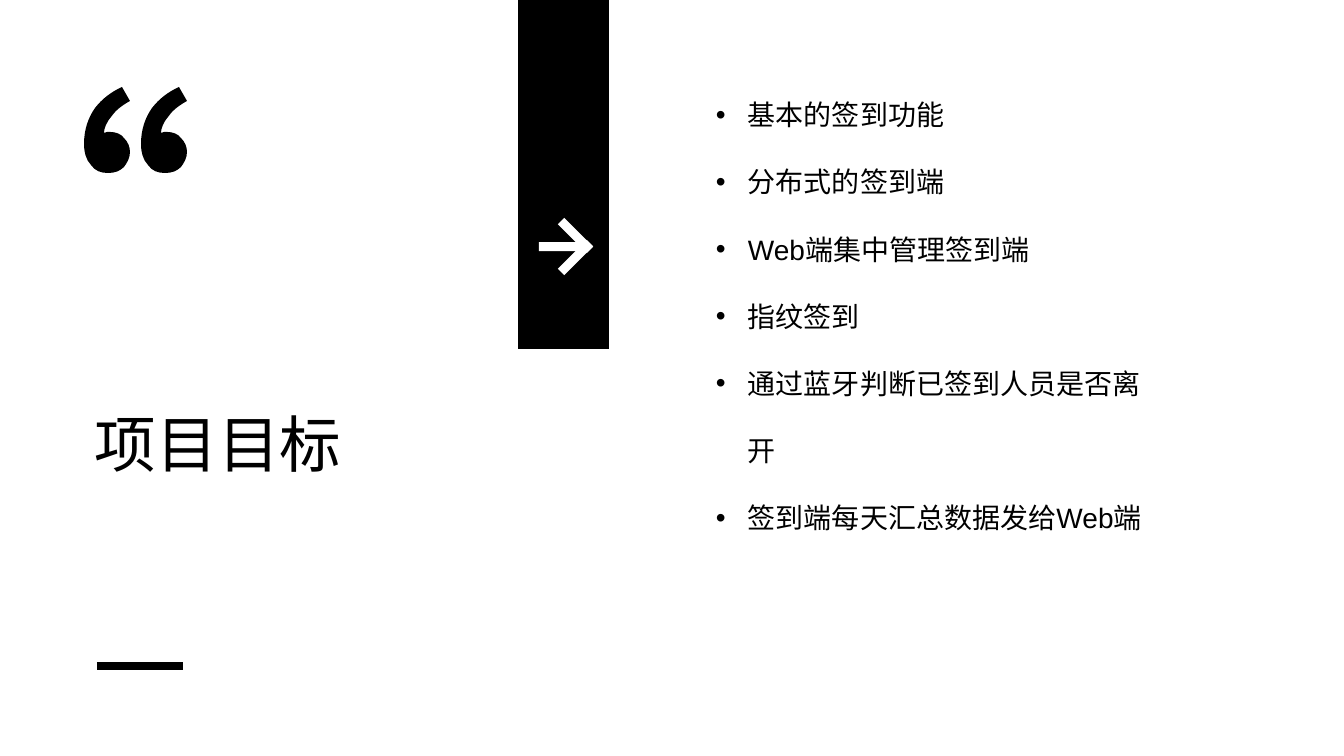
from lxml import etree
from pptx import Presentation
from pptx.dml.color import RGBColor
from pptx.enum.shapes import MSO_CONNECTOR, MSO_SHAPE
from pptx.oxml.ns import qn
from pptx.util import Emu, Pt

RECT = MSO_SHAPE.RECTANGLE
STRAIGHT = MSO_CONNECTOR.STRAIGHT
PX = 914400 / 100.8
FONT = "Arial"
COLORS = {"ink": "000000", "paper": "FFFFFF"}

GOALS = [
    "基本的签到功能",
    "分布式的签到端",
    "Web端集中管理签到端",
    "指纹签到",
    "通过蓝牙判断已签到人员是否离开",
    "签到端每天汇总数据发给Web端",
]

# One quote mark: a straight edge, then cubic curves (two controls, end)
MARK_EDGE = [(38, 0), (46, 14)]
MARK_CURVES = [
    [(37, 19), (31, 24), (27, 30)], [(22, 36), (20, 42), (20, 46)],
    [(21, 46), (22, 46), (23, 45)], [(24, 45), (25, 45), (26, 45)],
    [(32, 45), (37, 47), (40, 51)], [(44, 55), (46, 60), (46, 65)],
    [(46, 71), (43, 76), (40, 80)], [(36, 84), (31, 86), (24, 86)],
    [(17, 86), (11, 84), (7, 78)], [(2, 73), (0, 65), (0, 57)],
    [(0, 43), (4, 31), (11, 21)], [(18, 12), (27, 5), (38, 0)],
]


def px(n):
    """Turn pixels into EMU."""
    return Emu(round(n * PX))


def color(name):
    """Look up a colour by name."""
    return RGBColor.from_string(COLORS[name])


def paint(sp, name):
    """Fill a shape plainly, with no outline or shadow."""
    sp.fill.solid()
    sp.fill.fore_color.rgb = color(name)
    sp.line.fill.background()
    sp.shadow.inherit = False


def add_rect(shapes, x, y, w, h, name, rotation=0):
    """Add a plain rectangle, turned about its centre."""
    sp = shapes.add_shape(RECT, px(x), px(y), px(w), px(h))
    sp.rotation = rotation
    paint(sp, name)


def add_text(s, x, y, w, h, lines, size):
    """Add a wrapped text box with one paragraph per line and return its frame."""
    tf = s.shapes.add_textbox(px(x), px(y), px(w), px(h)).text_frame
    tf.word_wrap = True
    tf.text = "\n".join(lines)
    for p in tf.paragraphs:
        p.font.name = FONT
        p.font.size = Pt(size)
        p.font.color.rgb = color("ink")
    return tf


def bend(segment, controls):
    """Turn a straight path segment into a cubic curve with two controls."""
    segment.tag = qn("a:cubicBezTo")
    for i, (u, v) in enumerate(controls):
        segment.insert(i, etree.Element(qn("a:pt"), x=str(px(u)), y=str(px(v))))


def quote_marks(s, x, y, pitch):
    """Draw the opening double quote as one outline of two curved marks."""
    anchors = MARK_EDGE + [curve[-1] for curve in MARK_CURVES]
    offsets = (0, pitch)
    fb = s.shapes.build_freeform(px(x + anchors[0][0]), px(y + anchors[0][1]), scale=1.0)
    for dx in offsets:
        first, *rest = [(px(x + dx + u), px(y + v)) for u, v in anchors]
        if dx:
            fb.move_to(*first)
        fb.add_line_segments(rest, close=True)
    sp = fb.convert_to_shape()
    paint(sp, "ink")
    segments = list(sp._element.iter(qn("a:lnTo")))
    count = len(anchors) - 1
    for i, dx in enumerate(offsets):
        curved = segments[i * count + 1:(i + 1) * count]
        for segment, curve in zip(curved, MARK_CURVES):
            bend(segment, [(dx + u, v) for u, v in curve[:2]])


def title_panel(s, x, y):
    """Place the quote, the title and the short rule below it."""
    quote_marks(s, x, y, 57)
    add_text(s, x + 1, y + 314, 588, 85, ["项目目标"], 44)
    rule = s.shapes.add_connector(STRAIGHT, px(x + 13), px(y + 579), px(x + 99), px(y + 579))
    rule.line.color.rgb = color("ink")
    rule.line.width = Pt(6)
    etree.SubElement(rule._element.spPr, qn("a:effectLst"))


def arrow_band(s, x, y, w, h):
    """Place the dark band with its arrow of three bars."""
    add_rect(s.shapes, x, y, w, h, "ink")
    arrow = s.shapes.add_group_shape().shapes
    for dx, dy, length, angle in ((53, 215, 41, 135), (53, 237, 41, 45), (41, 222, 49, 270)):
        add_rect(arrow, x + dx, y + dy, 9, length, "paper", angle)


def goal_list(s, x, y, w, h):
    """Place the bulleted goals with double line spacing."""
    tf = add_text(s, x, y, w, h, GOALS, 20)
    indent = px(32)
    for p in tf.paragraphs:
        p.line_spacing = 2.0
        pPr = p._p.get_or_add_pPr()
        pPr.set("marL", str(indent))
        pPr.set("indent", str(-indent))
        bullet_font = etree.Element(qn("a:buFont"), typeface=FONT)
        bullet = etree.Element(qn("a:buChar"), char="•")
        pPr.find(qn("a:lnSpc")).addnext(bullet_font)
        bullet_font.addnext(bullet)


prs = Presentation()
prs.slide_width, prs.slide_height = px(1344), px(756)
s = prs.slides.add_slide(prs.slide_layouts[6])
s.background.fill.solid()
s.background.fill.fore_color.rgb = color("paper")
title_panel(s, 84, 87)
arrow_band(s, 518, 0, 91, 349)
goal_list(s, 706, 59, 469, 408)
prs.save("out.pptx")
